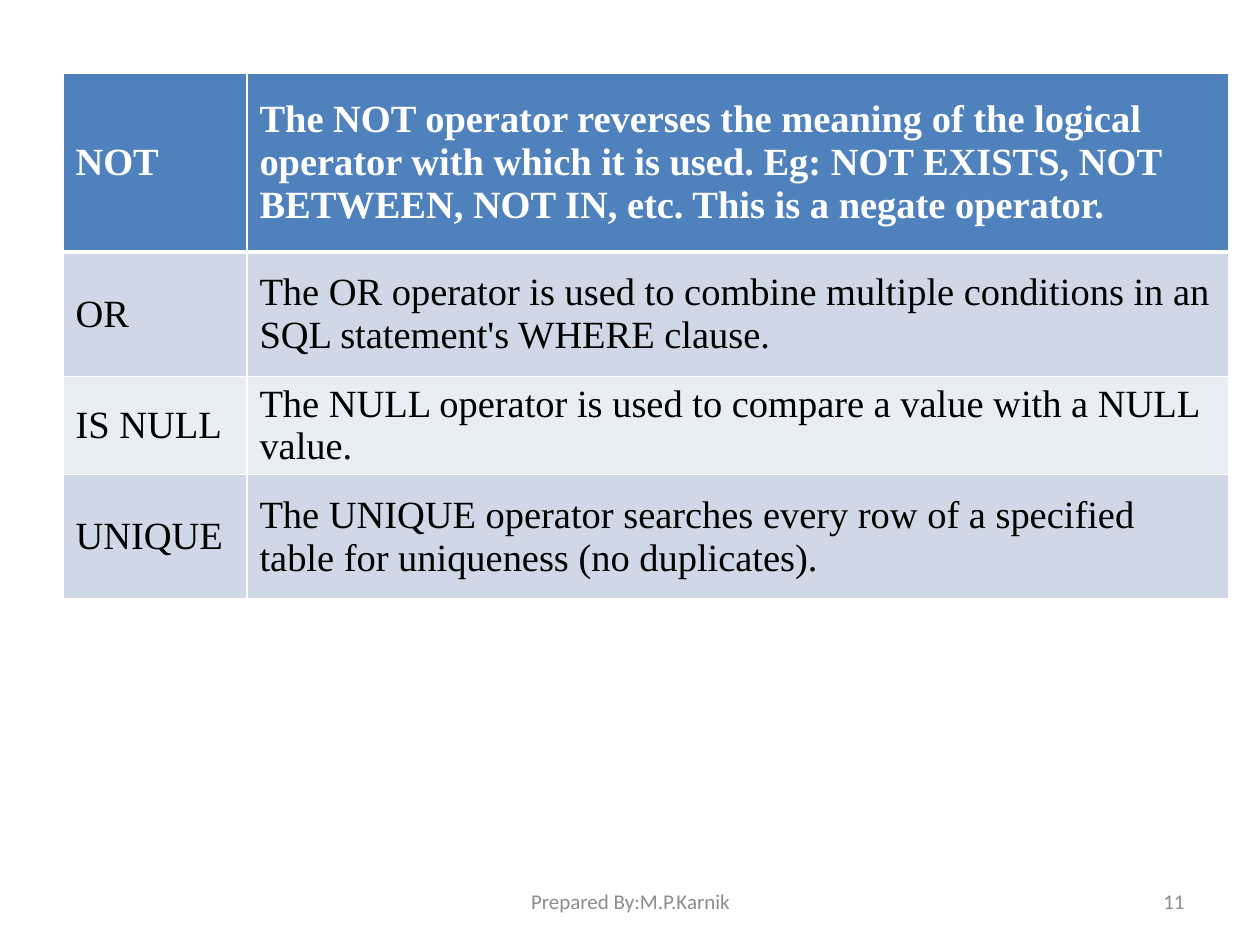
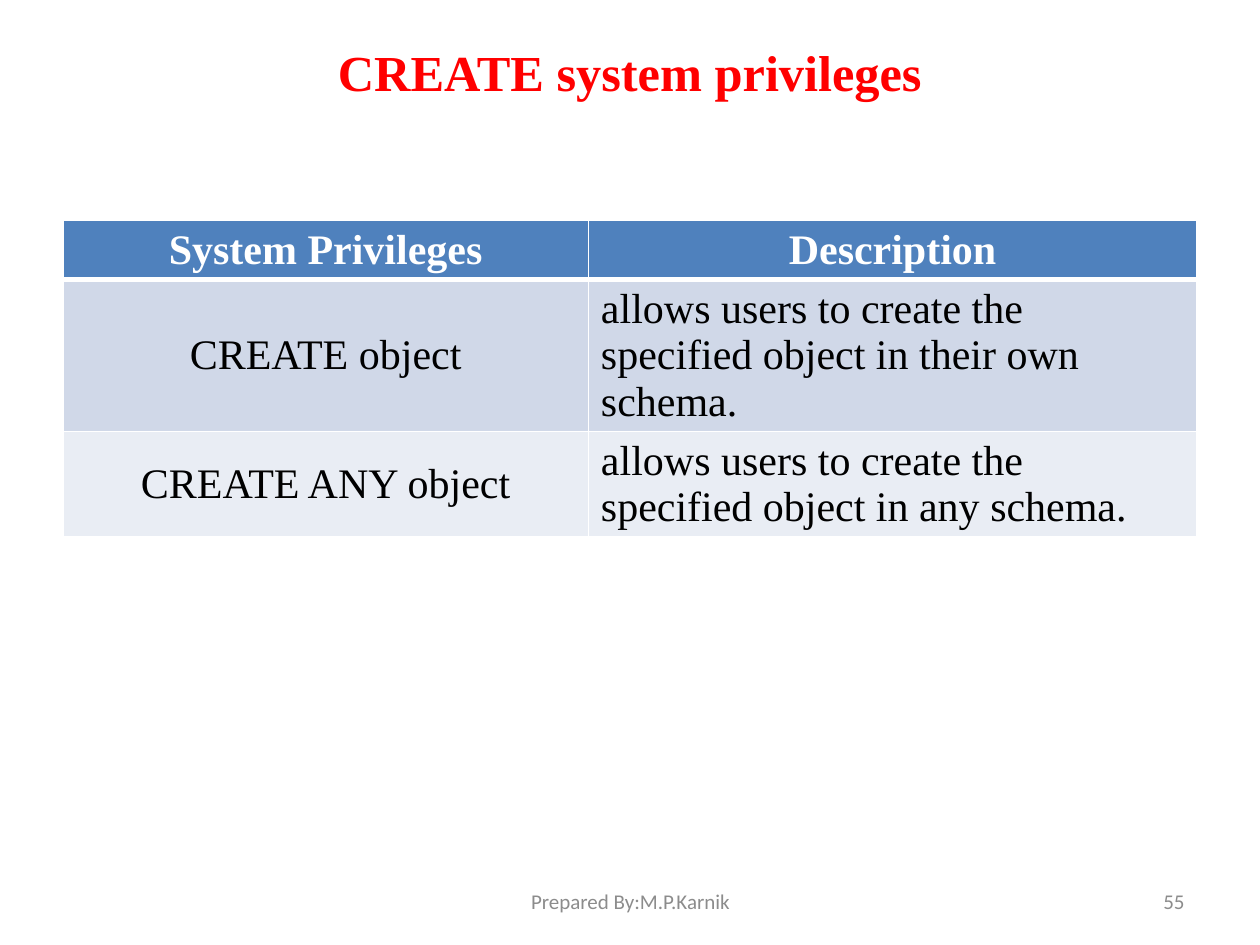
import pptx
import pptx.util
import pptx.dml.color
import pptx.enum.text
import pptx.oxml
import pptx.oxml.ns

Inches, Pt = pptx.util.Inches, pptx.util.Pt
ALIGN = pptx.enum.text.PP_ALIGN
MIDDLE = pptx.enum.text.MSO_ANCHOR.MIDDLE

SLIDES = [
    {
        "number": "11",
        "top": 0.58, "size": 22,
        "cols": [1.46, 7.79], "rows": [1.42, 0.99, 0.77, 0.99],
        "header_align": [ALIGN.LEFT, ALIGN.LEFT],
        "body_align": [ALIGN.LEFT, ALIGN.LEFT],
        "cells": [
            ("NOT", "The NOT operator reverses the meaning of the logical operator with which it is used. "
                    "Eg: NOT EXISTS, NOT BETWEEN, NOT IN, etc. This is a negate operator."),
            ("OR", "The OR operator is used to combine multiple conditions in an SQL statement's WHERE clause."),
            ("IS NULL", "The NULL operator is used to compare a value with a NULL value."),
            ("UNIQUE", "The UNIQUE operator searches every row of a specified table for uniqueness (no duplicates)."),
        ],
    },
    {
        "title": "CREATE system privileges",
        "number": "55",
        "top": 1.75, "size": 24,
        "cols": [4.17, 4.83], "rows": [0.46, 1.2, 0.83],
        "header_align": [ALIGN.CENTER, ALIGN.CENTER],
        "body_align": [ALIGN.CENTER, ALIGN.LEFT],
        "cells": [
            ("System Privileges", "Description"),
            ("CREATE object", "allows users to create the specified object in their own schema."),
            ("CREATE ANY object", "allows users to create the specified object in any schema."),
        ],
    },
]
FOOTER = "Prepared By:M.P.Karnik"
MARGIN = 0.5
SERIF, SANS = "Times New Roman", "Calibri"
WHITE, BLACK, RED, GREY = "FFFFFF", "000000", "FF0000", "8C8C8C"
HEADER, BANDS = "4F81BD", ["D0D8E8", "E9EDF4"]


def rgb(value):
    return pptx.dml.color.RGBColor.from_string(value)


def write(tf, text, font, size, color, align, bold=False):
    tf.text = text
    tf.word_wrap = True
    p = tf.paragraphs[0]
    p.alignment = align
    r = p.runs[0]
    r.font.name, r.font.size, r.font.bold = font, Pt(size), bold
    r.font.color.rgb = rgb(color)


def add_borders(cell, bottom):
    tc_pr = cell._tc.get_or_add_tcPr()
    widths = {"lnL": 1, "lnR": 1, "lnT": 1, "lnB": bottom}
    for i, (tag, width) in enumerate(widths.items()):
        tc_pr.insert(i, pptx.oxml.parse_xml(
            f'<a:{tag} {pptx.oxml.ns.nsdecls("a")} w="{Pt(width)}"><a:solidFill>'
            f'<a:srgbClr val="{WHITE}"/></a:solidFill></a:{tag}>'))


def add_title(s, text):
    title = s.shapes.title
    title.left, title.top, title.width, title.height = map(Inches, (MARGIN, 0.3, 9, 0.53))
    tf = title.text_frame
    write(tf, text, SERIF, 28.8, RED, ALIGN.CENTER, True)
    tf.auto_size = pptx.enum.text.MSO_AUTO_SIZE.NONE
    tf.vertical_anchor = MIDDLE


def add_grid(s, data):
    cols, rows = data["cols"], data["rows"]
    table = s.shapes.add_table(len(rows), len(cols), Inches(MARGIN), Inches(data["top"]),
                               Inches(sum(cols)), Inches(sum(rows))).table
    for column, width in zip(table.columns, cols):
        column.width = Inches(width)
    for i, (row, height) in enumerate(zip(table.rows, rows)):
        row.height = Inches(height)
        head = i == 0
        aligns = data["header_align"] if head else data["body_align"]
        for cell, text, align in zip(row.cells, data["cells"][i], aligns):
            write(cell.text_frame, text, SERIF, data["size"], WHITE if head else BLACK, align, head)
            cell.vertical_anchor = MIDDLE
            cell.fill.solid()
            cell.fill.fore_color.rgb = rgb(HEADER if head else BANDS[(i - 1) % 2])
            add_borders(cell, 3 if head or i == 0 else 1)
            if i == 1:
                cell._tc.tcPr.find(pptx.oxml.ns.qn("a:lnT")).set("w", str(Pt(3)))


def add_footer(s, number):
    for text, left, width, align in [(number, 7.17, 2.33, ALIGN.RIGHT),
                                     (FOOTER, 3.42, 3.17, ALIGN.CENTER)]:
        tf = s.shapes.add_textbox(*map(Inches, (left, 6.95, width, 0.4))).text_frame
        write(tf, text, SANS, 12, GREY, align)
        tf.vertical_anchor = MIDDLE


def main():
    prs = pptx.Presentation()
    prs.slide_width, prs.slide_height = Inches(10), Inches(7.5)
    for data in SLIDES:
        s = prs.slides.add_slide(prs.slide_layouts[5 if "title" in data else 6])
        if "title" in data:
            add_title(s, data["title"])
        add_grid(s, data)
        add_footer(s, data["number"])
    prs.save("out.pptx")


if __name__ == "__main__":
    main()
